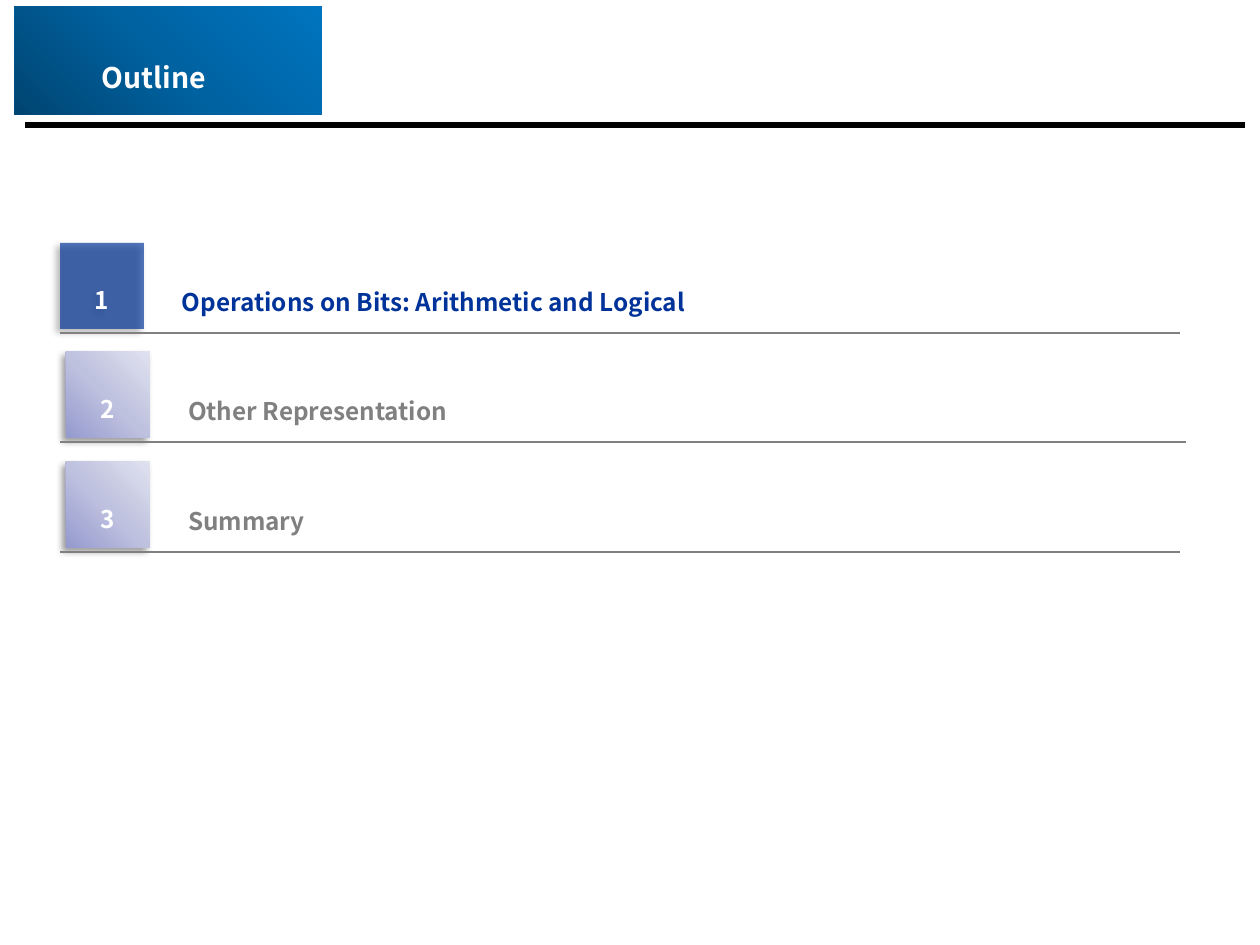
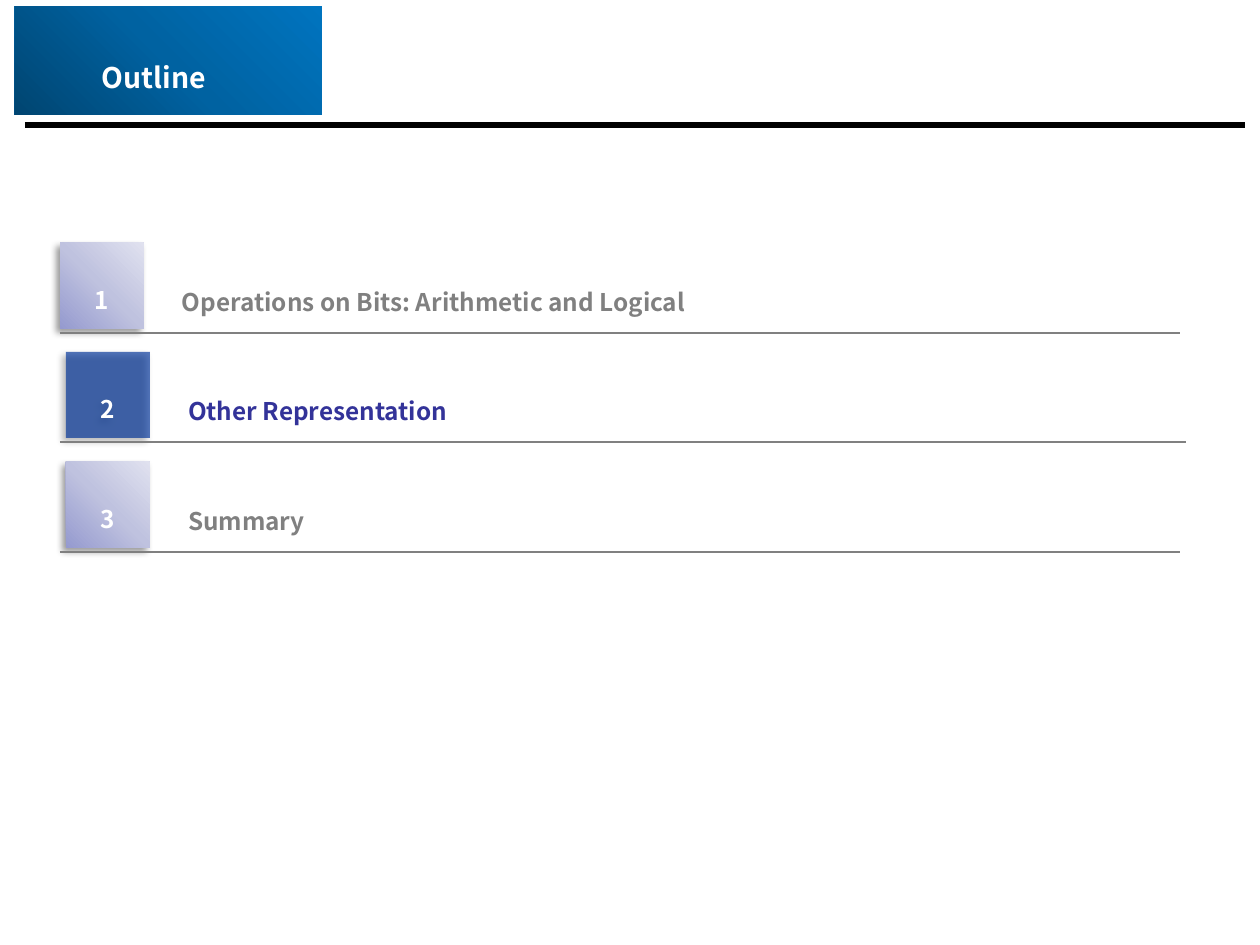
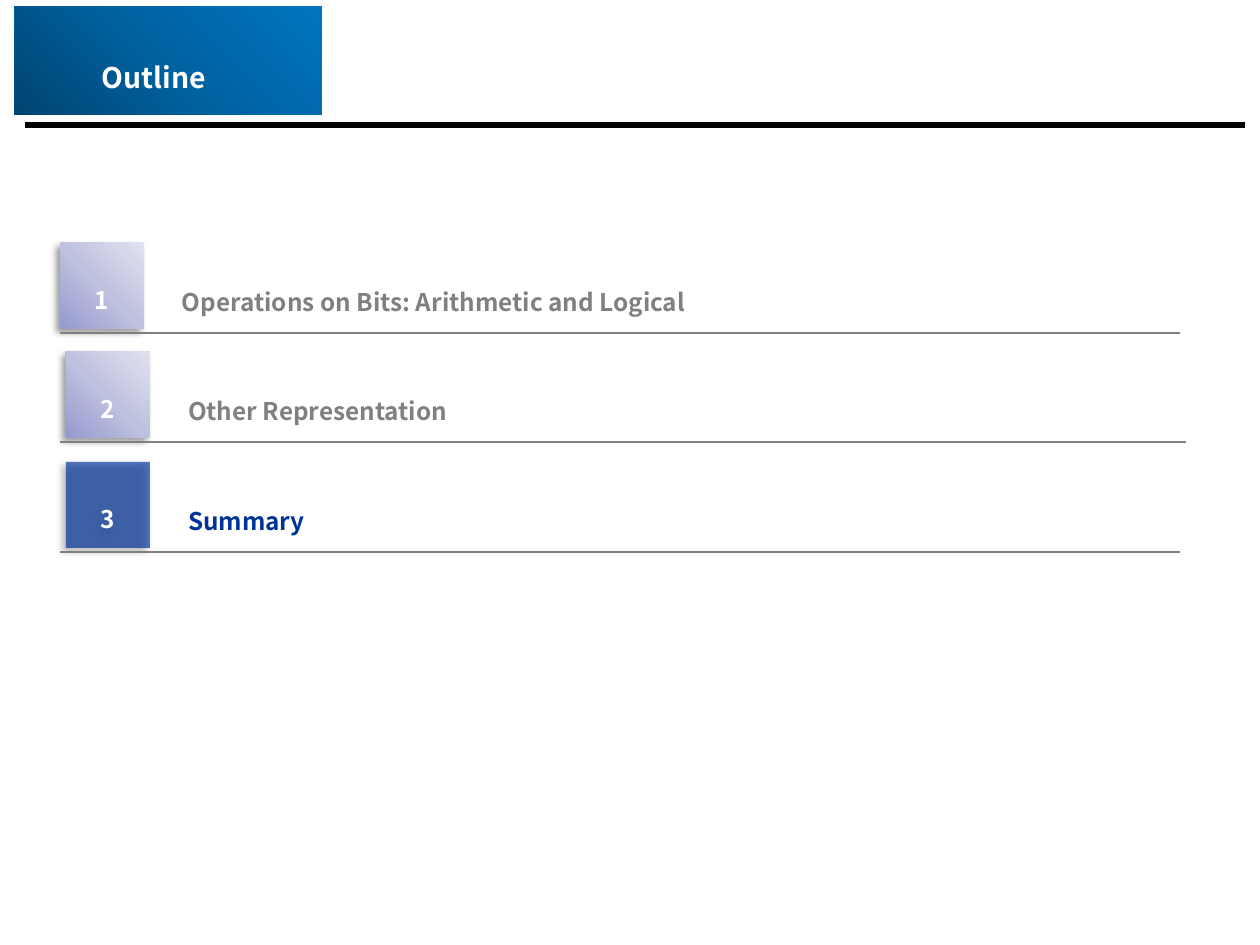
from lxml.etree import SubElement
from pptx import Presentation
from pptx.dml.color import RGBColor
from pptx.enum.shapes import MSO_CONNECTOR as Connector, MSO_SHAPE as Shape
from pptx.enum.text import MSO_ANCHOR as Anchor, MSO_AUTO_SIZE as AutoSize, PP_ALIGN as Align
from pptx.oxml.ns import qn
from pptx.util import Emu, Pt

COLORS = {
    "white": "FFFFFF", "black": "000000", "gray": "808080",
    "active": "003399", "indigo": "333399",
}
HEADER_STOPS = [(0, "004571"), (50, "0062A1"), (100, "0074BF")]
BADGE_STOPS = [(0, "959ACF"), (50, "BFC2DF"), (100, "E0E1EF")]
EMU_PER_PX = 914400 / 126

# Topic, badge left, badge top, label left, label width, color when active, rule starts
TOPICS = [
    ("Operations on Bits: Arithmetic and Logical", 60, 243, 168, 1022, "active", [60]),
    ("Other Representation", 66, 352, 174, 1012, "indigo", [60, 66]),
    ("Summary", 66, 462, 174, 1012, "active", [60]),
]


def px(length):
    return Emu(round(length * EMU_PER_PX))


def rgb(name):
    return RGBColor.from_string(COLORS[name])


class OutlineDeck:
    font = "Noto Sans CJK SC"

    def __init__(self):
        self.deck = Presentation()
        self.deck.slide_width, self.deck.slide_height = px(1260), px(945)
        self.page = None

    def new_page(self):
        self.page = self.deck.slides.add_slide(self.deck.slide_layouts[6])

    def rectangle(self, left, top, width, height):
        box = self.page.shapes.add_shape(
            Shape.RECTANGLE, px(left), px(top), px(width), px(height))
        box.shadow.inherit = False
        box.line.fill.background()
        return box

    def solid(self, box, color, opacity=100):
        box.fill.solid()
        box.fill.fore_color.rgb = rgb(color)
        if opacity < 100:
            shade = box._element.spPr.find(qn("a:solidFill"))[0]
            SubElement(shade, qn("a:alpha"), val=str(opacity * 1000))

    def gradient(self, box, stops, radial=False):
        box.fill.gradient()
        fill = box._element.spPr.find(qn("a:gradFill"))
        for child in list(fill):
            fill.remove(child)
        stop_list = SubElement(fill, qn("a:gsLst"))
        for position, color in stops:
            stop = SubElement(stop_list, qn("a:gs"), pos=str(position * 1000))
            SubElement(stop, qn("a:srgbClr"), val=color)
        if radial:
            circle = SubElement(fill, qn("a:path"), path="circle")
            SubElement(circle, qn("a:fillToRect"), t="100000", r="100000")
        else:
            SubElement(fill, qn("a:lin"), ang=str(315 * 60000), scaled="1")

    def cast_shadow(self, effects):
        shadow = SubElement(effects, qn("a:outerShdw"), blurRad=str(Pt(4)), dist=str(Pt(3)),
                            dir=str(135 * 60000), algn="tr", rotWithShape="0")
        color = SubElement(shadow, qn("a:srgbClr"), val=COLORS["black"])
        SubElement(color, qn("a:alpha"), val="40000")

    def set_text(self, box, text, size, color, align=Align.CENTER, wrap=True, grow=False,
                 inset=(0, 0), spacing=None):
        frame = box.text_frame
        frame.text = text
        frame.word_wrap = wrap
        frame.auto_size = AutoSize.SHAPE_TO_FIT_TEXT if grow else AutoSize.NONE
        frame.vertical_anchor = Anchor.MIDDLE
        frame.margin_left = frame.margin_right = px(inset[0])
        frame.margin_top = frame.margin_bottom = px(inset[1])
        para = frame.paragraphs[0]
        para.alignment = align
        if spacing:
            para.line_spacing = spacing
        span = para.runs[0]
        span.font.name, span.font.size, span.font.bold = self.font, Pt(size), True
        span.font.color.rgb = rgb(color)
        # All text is set as subscript
        span._r.get_or_add_rPr().set("baseline", "-25000")

    def rule(self, left, right, y, color, weight, shadow=False):
        line = self.page.shapes.add_connector(
            Connector.STRAIGHT, px(left), px(y), px(right), px(y))
        line.line.color.rgb = rgb(color)
        line.line.width = Pt(weight)
        effects = SubElement(line._element.spPr, qn("a:effectLst"))
        if shadow:
            self.cast_shadow(effects)

    def header(self, title):
        self.rule(25, 1245, 125, "black", 3.75)
        self.gradient(self.rectangle(15, 6, 307, 109), HEADER_STOPS, radial=True)
        box = self.page.shapes.add_textbox(px(15), px(31), px(278), px(59))
        self.set_text(box, title, 28, "white", grow=True)

    def badge(self, number, left, top, active):
        box = self.rectangle(left, top, 84, 86)
        if active:
            self.solid(box, "active", opacity=67)
        else:
            self.gradient(box, BADGE_STOPS)
        self.cast_shadow(box._element.spPr.find(qn("a:effectLst")))
        self.set_text(box, str(number), 24, "white", wrap=False)

    def label(self, text, left, top, width, color):
        box = self.rectangle(left, top, width, 60)
        self.solid(box, "white")
        self.set_text(box, text, 24, color, Align.LEFT, grow=True, inset=(14, 8), spacing=0.9)

    def outline(self, current):
        self.new_page()
        self.header("Outline")
        for number, topic in enumerate(TOPICS, 1):
            text, left, top, label_left, width, highlight, rule_starts = topic
            active = number == current
            self.label(text, label_left, top + 13, width, highlight if active else "gray")
            self.badge(number, left, top, active)
            for start in rule_starts:
                self.rule(start, start + 1120, top + 90, "gray", 0.75, shadow=True)


def main():
    outline_deck = OutlineDeck()
    # One page per topic, with that topic highlighted
    for current in range(1, len(TOPICS) + 1):
        outline_deck.outline(current)
    outline_deck.deck.save("out.pptx")


if __name__ == "__main__":
    main()
